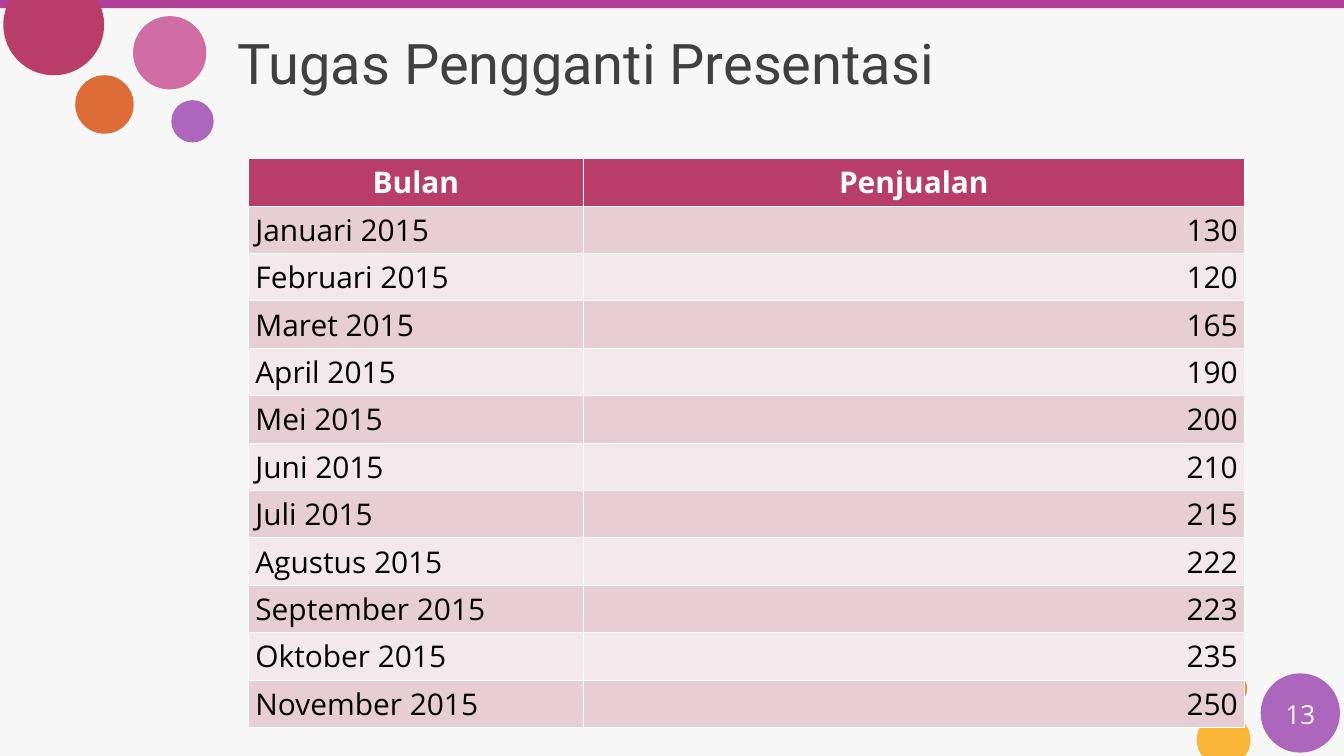
"""Build the monthly sales table slide."""
import math

from lxml import etree
from pptx import Presentation
from pptx import util as u
from pptx.dml.color import RGBColor
from pptx.enum import shapes, text
from pptx.oxml import ns

COLS, ROWS = 20, 11.25
HUES = {
    "back": "F7F7F7", "bar": "B13F9A", "rose": "B83D68", "rust": "DE6C36",
    "pink": "CF6DA4", "plum": "AC66BB", "peach": "FA8D3D", "gold": "F9B639",
    "dark": "404040", "white": "FFFFFF", "black": "000000",
    "odd": "E6CED4", "even": "F3E8EB",
}
LEFT, MID, RIGHT = text.PP_ALIGN.LEFT, text.PP_ALIGN.CENTER, text.PP_ALIGN.RIGHT
SALES = {
    "Januari": 130, "Februari": 120, "Maret": 165, "April": 190,
    "Mei": 200, "Juni": 210, "Juli": 215, "Agustus": 222,
    "September": 223, "Oktober": 235, "November": 250,
}


def hue(name):
    """Return the named colour."""
    return RGBColor.from_string(HUES[name])


def write(frame, words, size=32, font="Open Sans", color="black", bold=False, align=LEFT):
    """Put formatted words into a text frame."""
    para = frame.paragraphs[0]
    para.alignment = align
    run = para.add_run()
    run.text = words
    run.font.size, run.font.name, run.font.bold = u.Pt(size), font, bold
    run.font.color.rgb = hue(color)


class Page:
    """Hold the grid, the colours and the current slide."""

    def __init__(self, deck):
        """Add a title-only slide with a plain background."""
        self.col, self.row = deck.slide_width / COLS, deck.slide_height / ROWS
        self.slide = deck.slides.add_slide(deck.slide_layouts[5])
        self.slide.background.fill.solid()
        self.slide.background.fill.fore_color.rgb = hue("back")

    def box(self, x, y, w, h):
        """Turn grid columns and rows into lengths."""
        return [u.Emu(round(n * unit)) for n, unit in
                zip((x, y, w, h), (self.col, self.row) * 2)]

    def paint(self, shape, color):
        """Give a shape a flat fill without line or shadow."""
        shape.shadow.inherit = False
        shape.fill.solid()
        shape.fill.fore_color.rgb = hue(color)
        shape.line.fill.background()

    def bar(self, x, y, w, h, color):
        """Draw a filled rectangle."""
        kind = shapes.MSO_SHAPE.RECTANGLE
        self.paint(self.slide.shapes.add_shape(kind, *self.box(x, y, w, h)), color)

    def dot(self, x, y, size, color):
        """Draw a filled circle."""
        kind = shapes.MSO_SHAPE.OVAL
        self.paint(self.slide.shapes.add_shape(kind, *self.box(x, y, size, size)), color)

    def cut(self, x, y, rad, edge, color):
        """Draw a circle around a centre, cut off by a level edge."""
        dip = math.asin((edge - y) / rad)
        start, end = (dip, math.pi - dip) if dip < 0 else (math.pi - dip, 2 * math.pi + dip)
        quads = [n * math.pi / 2 for n in range(5)]
        turns = [start, *(q for q in quads if start < q < end), end]

        def spot(turn, pull=0):
            """Find a point on the rim, pulled along its tangent."""
            return (round((x + rad * (math.cos(turn) - pull * math.sin(turn))) * self.col),
                    round((y + rad * (math.sin(turn) + pull * math.cos(turn))) * self.row))

        pen = self.slide.shapes.build_freeform(*spot(start))
        pen.add_line_segments([spot(t) for t in turns[1:]], close=True)
        shape = pen.convert_to_shape()
        lines = list(shape._element.iter(ns.qn("a:lnTo")))
        for line, a, b in zip(lines, turns, turns[1:]):
            pull = 4 / 3 * math.tan((b - a) / 4)
            line.tag = ns.qn("a:cubicBezTo")
            for i, (px, py) in enumerate((spot(a, pull), spot(b, -pull))):
                point = etree.Element(ns.qn("a:pt"), x=str(px - shape.left), y=str(py - shape.top))
                line.insert(i, point)
        self.paint(shape, color)

    def fit(self, frame):
        """Set wrapping, insets and middle anchor of a frame."""
        frame.word_wrap = True
        frame.auto_size = text.MSO_AUTO_SIZE.NONE
        frame.vertical_anchor = text.MSO_ANCHOR.MIDDLE
        frame.margin_left = frame.margin_right = u.Inches(0.18)
        frame.margin_top = frame.margin_bottom = u.Inches(0.09)

    def title(self, words, *area):
        """Move and fill the title placeholder."""
        head = self.slide.shapes.title
        head.left, head.top, head.width, head.height = self.box(*area)
        self.fit(head.text_frame)
        write(head.text_frame, words, size=60, font="Roboto", color="dark")

    def label(self, words, *area, **style):
        """Add a text box."""
        frame = self.slide.shapes.add_textbox(*self.box(*area)).text_frame
        self.fit(frame)
        write(frame, words, **style)

    def cell(self, cell, words, fill, **style):
        """Border, fill and write one table cell."""
        props = cell._tc.get_or_add_tcPr()
        for side in ("a:lnL", "a:lnR", "a:lnT", "a:lnB"):
            line = etree.SubElement(props, ns.qn(side), w=str(u.Pt(1)))
            solid = etree.SubElement(line, ns.qn("a:solidFill"))
            etree.SubElement(solid, ns.qn("a:srgbClr"), val=HUES["white"])
        cell.fill.solid()
        cell.fill.fore_color.rgb = hue(fill)
        write(cell.text_frame, words, **style)

    def table(self, x, y, widths, high, line, heads, rows):
        """Add a banded table with a header row."""
        area = self.box(x, y, sum(widths), high)
        frame = self.slide.shapes.add_table(len(rows) + 1, len(widths), *area)
        grid = frame.table
        for col, wide in zip(grid.columns, widths):
            col.width = u.Emu(round(wide * self.col))
        for row in grid.rows:
            row.height = u.Emu(round(line * self.row))
        frame.height = area[3]
        for c, head in enumerate(heads):
            self.cell(grid.cell(0, c), head, "rose", color="white", bold=True, align=MID)
        for r, row in enumerate(rows, 1):
            for c, (words, align) in enumerate(zip(row, (LEFT, RIGHT))):
                self.cell(grid.cell(r, c), words, "odd" if r % 2 else "even", align=align)


def main():
    """Compose and save the slide."""
    deck = Presentation()
    deck.slide_width, deck.slide_height = u.Inches(20), u.Inches(11.25)
    page = Page(deck)
    page.bar(0, 0, COLS, 0.12, "bar")
    page.cut(0.8, 0.37, 0.75, 0, "rose")
    for dot in ((2.55, 1.49, 0.63, "plum"), (1.12, 1.12, 0.87, "rust"),
                (1.98, 0.24, 1.09, "pink"), (18.08, 10.01, 0.48, "peach"),
                (18.76, 10.02, 1.18, "plum")):
        page.dot(*dot)
    page.cut(18.21, 11.01, 0.4, ROWS, "gold")
    page.title("Tugas Pengganti Presentasi", 3.36, 0.27, 15.69, 1.32)
    page.label("13", 18.76, 10.32, 1.18, 0.6, size=28, color="white", align=MID)
    rows = [(f"{month} 2015", str(sold)) for month, sold in SALES.items()]
    page.table(3.7, 2.36, (4.98, 9.84), 7.6, 0.41, ("Bulan", "Penjualan"), rows)
    deck.save("out.pptx")


if __name__ == "__main__":
    main()
